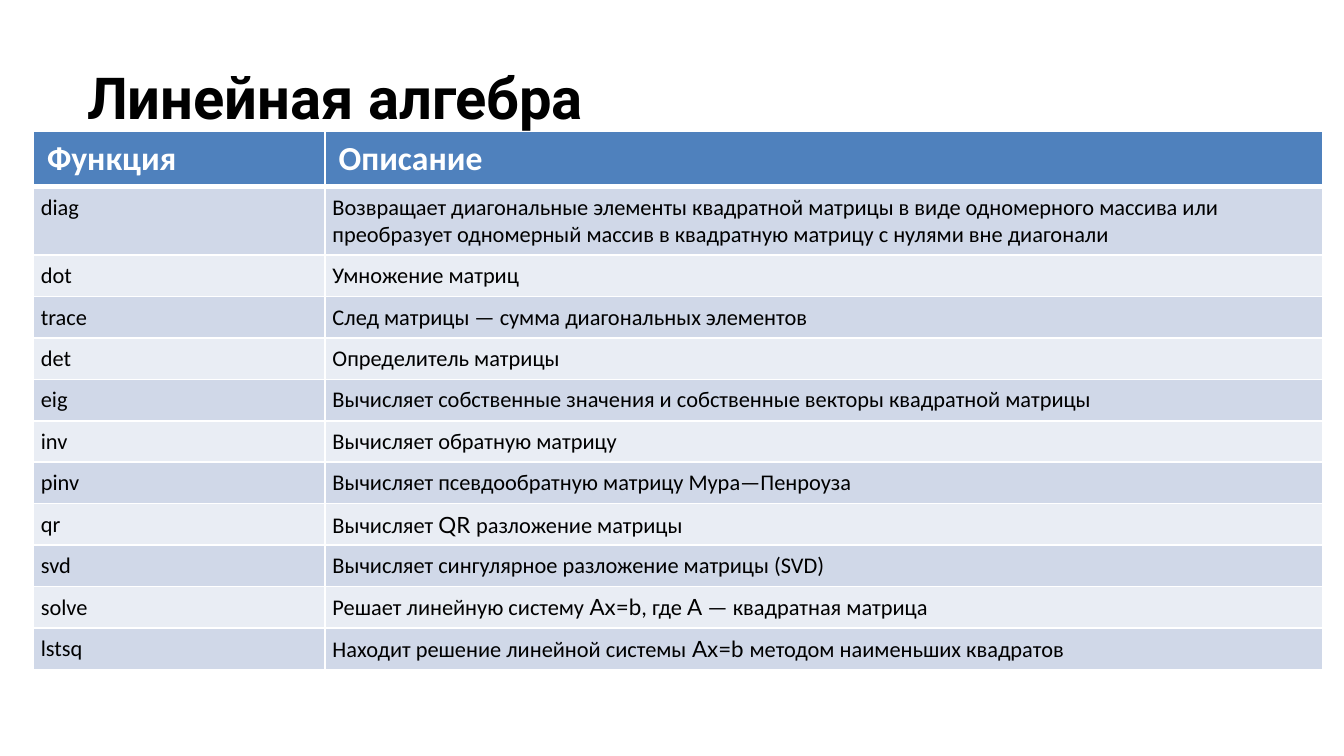
import pptx
import pptx.dml.color
import pptx.oxml
import pptx.oxml.ns
import pptx.util
from pptx.util import Inches, Pt

RGBColor = pptx.dml.color.RGBColor

# Content: descriptions are lists of pieces, every second piece is a formula
TITLE = "Линейная алгебра"
HEADINGS = ("Функция", "Описание")
FUNCTIONS = [
    ("diag", ["Возвращает диагональные элементы квадратной матрицы в виде одномерного массива "
              "или преобразует одномерный массив в квадратную матрицу с нулями вне диагонали"]),
    ("dot", ["Умножение матриц"]),
    ("trace", ["След матрицы — сумма диагональных элементов"]),
    ("det", ["Определитель матрицы"]),
    ("eig", ["Вычисляет собственные значения и собственные векторы квадратной матрицы"]),
    ("inv", ["Вычисляет обратную матрицу"]),
    ("pinv", ["Вычисляет псевдообратную матрицу Мура—Пенроуза"]),
    ("qr", ["Вычисляет ", "QR ", "разложение матрицы"]),
    ("svd", ["Вычисляет сингулярное разложение матрицы (SVD)"]),
    ("solve", ["Решает линейную систему ", "Ax=b", ", где ", "A", " — квадратная матрица"]),
    ("lstsq", ["Находит решение линейной системы ", "Ax=b ", "методом наименьших квадратов"]),
]

# Style
BLACK = RGBColor(0x00, 0x00, 0x00)
WHITE = RGBColor(0xFF, 0xFF, 0xFF)
HEADER_BLUE = RGBColor(0x4F, 0x81, 0xBD)
BANDS = (RGBColor(0xD0, 0xD8, 0xE8), RGBColor(0xE9, 0xED, 0xF4))
TITLE_FONT, BODY_FONT, FORMULA_FONT = "Roboto", "Calibri", "Lato"
COLUMN_WIDTHS = (2.17, 7.42)
HEADER_HEIGHT, ROW_HEIGHT = 0.41, 0.24
CELL_MARGIN = Pt(3.9)


def add_run(paragraph, text, font, size, color, bold=False):
    run = paragraph.add_run()
    run.text = text
    run.font.name = font
    run.font.size = Pt(size)
    run.font.color.rgb = color
    run.font.bold = bold


def style_cell(cell, fill, top=1, bottom=1):
    """White borders (widths in points) and a solid fill."""
    properties = cell._tc.get_or_add_tcPr()
    for side, width in (("L", 1), ("R", 1), ("T", top), ("B", bottom)):
        properties.append(pptx.oxml.parse_xml(
            f'<a:ln{side} {pptx.oxml.ns.nsdecls("a")} w="{int(Pt(width))}">'
            f'<a:solidFill><a:srgbClr val="{WHITE}"/></a:solidFill></a:ln{side}>'))
    cell.fill.solid()
    cell.fill.fore_color.rgb = fill


def main():
    deck = pptx.Presentation()
    deck.slide_width = Inches(10)
    deck.slide_height = deck.slide_width * 9 // 16
    slide = deck.slides.add_slide(deck.slide_layouts[6])

    # Title
    title = slide.shapes.add_textbox(Inches(0.55), Inches(0.36), Inches(9.32), Inches(1.2))
    frame = title.text_frame
    frame.word_wrap = True
    frame.margin_left = frame.margin_right = Inches(0.1)
    frame.margin_top = frame.margin_bottom = Inches(0.1)
    add_run(frame.paragraphs[0], TITLE, TITLE_FONT, 31, BLACK, bold=True)

    # Table grid
    table_frame = slide.shapes.add_table(
        len(FUNCTIONS) + 1, len(HEADINGS),
        Inches(0.25), Inches(0.98), Inches(sum(COLUMN_WIDTHS)), Inches(3.95))
    table = table_frame.table
    for column, width in zip(table.columns, COLUMN_WIDTHS):
        column.width = Inches(width)
    for index, row in enumerate(table.rows):
        row.height = Inches(ROW_HEIGHT if index else HEADER_HEIGHT)
    table_frame.height = Inches(3.95)

    # Header row
    for column, heading in enumerate(HEADINGS):
        cell = table.cell(0, column)
        style_cell(cell, HEADER_BLUE, bottom=3)
        add_run(cell.text_frame.paragraphs[0], heading, BODY_FONT, 18, WHITE, bold=True)

    # Function rows
    for row, (function, description) in enumerate(FUNCTIONS, start=1):
        for column, pieces in enumerate(([function], description)):
            cell = table.cell(row, column)
            style_cell(cell, BANDS[(row - 1) % 2], top=3 if row == 1 else 1)
            cell.margin_left = cell.margin_right = CELL_MARGIN
            cell.margin_top = cell.margin_bottom = CELL_MARGIN
            for index, piece in enumerate(pieces):
                font = FORMULA_FONT if index % 2 else BODY_FONT
                add_run(cell.text_frame.paragraphs[0], piece, font, 12, BLACK)

    deck.save("out.pptx")


if __name__ == "__main__":
    main()
